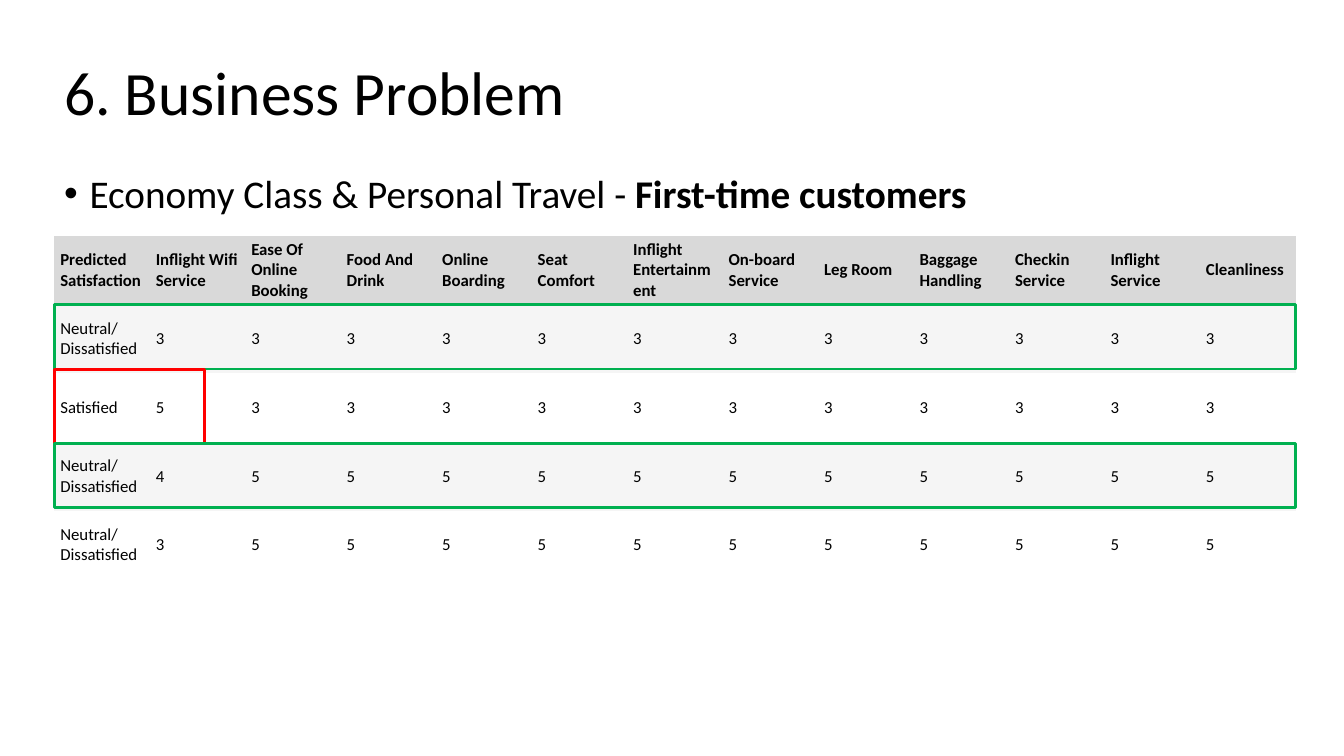
from dataclasses import dataclass

from pptx import Presentation
from pptx.dml.color import RGBColor
from pptx.enum.shapes import MSO_SHAPE
from pptx.enum.text import MSO_ANCHOR
from pptx.oxml.ns import qn
from pptx.util import Cm, Pt
from lxml import etree

RECTANGLE = MSO_SHAPE.RECTANGLE
MIDDLE = MSO_ANCHOR.MIDDLE
PLAIN_TABLE_STYLE = "{2D5ABB26-0587-4C30-8999-92F81FD0307C}"


@dataclass(frozen=True)
class Theme:
    """Colours and type sizes of the slide."""
    font: str = "Calibri"
    text: RGBColor = RGBColor(0x00, 0x00, 0x00)
    header: RGBColor = RGBColor(0xD9, 0xD9, 0xD9)
    band: RGBColor = RGBColor(0xF5, 0xF5, 0xF5)
    green: RGBColor = RGBColor(0x00, 0xB0, 0x50)
    red: RGBColor = RGBColor(0xFF, 0x00, 0x00)
    title_size: Pt = Pt(44)
    body_size: Pt = Pt(28)
    table_size: Pt = Pt(12)
    outline: Pt = Pt(2)


@dataclass(frozen=True)
class Box:
    """A rectangle in centimetres."""
    left: float
    top: float
    width: float
    height: float

    def lengths(self):
        """Return the four measures as lengths."""
        return Cm(self.left), Cm(self.top), Cm(self.width), Cm(self.height)


THEME = Theme()
TITLE_BOX = Box(1.37, 0.58, 29.21, 3.68)
SUBTITLE_BOX = Box(1.37, 4.27, 28.32, 1.68)
TABLE_BOX = Box(1.37, 5.94, 31.29, 8.66)

HEADINGS = [
    "Predicted Satisfaction", "Inflight Wifi Service", "Ease Of Online Booking",
    "Food And Drink", "Online Boarding", "Seat Comfort", "Inflight Entertainment",
    "On-board Service", "Leg Room", "Baggage Handling", "Checkin Service",
    "Inflight Service", "Cleanliness",
]
UNHAPPY = "Neutral/\nDissatisfied"
PREDICTIONS = [(UNHAPPY, 3, 3), ("Satisfied", 5, 3), (UNHAPPY, 4, 5), (UNHAPPY, 3, 5)]


def style_runs(paragraph, size, bold=False):
    """Format every run of a paragraph."""
    for run in paragraph.runs:
        run.font.name = THEME.font
        run.font.size = size
        run.font.bold = bold
        run.font.color.rgb = THEME.text


def add_title(slide, box):
    """Add the slide title, centred vertically in its box."""
    text_frame = slide.shapes.add_textbox(*box.lengths()).text_frame
    text_frame.word_wrap = True
    text_frame.vertical_anchor = MIDDLE
    text_frame.text = "6. Business Problem"
    paragraph = text_frame.paragraphs[0]
    paragraph.line_spacing = 0.9
    style_runs(paragraph, THEME.title_size)


def add_subtitle(slide, box):
    """Add the bulleted line that names the customer group."""
    text_frame = slide.shapes.add_textbox(*box.lengths()).text_frame
    text_frame.word_wrap = True
    text_frame.text = "Economy Class & Personal Travel - "
    paragraph = text_frame.paragraphs[0]
    paragraph.add_run().text = "First-time customers"
    paragraph.line_spacing = 0.9
    paragraph.space_before = Pt(10)
    style_runs(paragraph, THEME.body_size)
    paragraph.runs[1].font.bold = True
    properties = paragraph._p.get_or_add_pPr()
    indent = Cm(0.64)
    properties.set("marL", str(indent))
    properties.set("indent", str(-indent))
    etree.SubElement(properties, qn("a:buFont")).set("typeface", "Arial")
    etree.SubElement(properties, qn("a:buChar")).set("char", "•")


def fill_cell(cell, text, row_index):
    """Write one table cell and format it for its row."""
    cell.text = text
    cell.vertical_anchor = MIDDLE
    cell.margin_left = cell.margin_right = Cm(0.15)
    cell.margin_top = cell.margin_bottom = Cm(0.08)
    if row_index % 2 or row_index == 0:
        cell.fill.solid()
        cell.fill.fore_color.rgb = THEME.band if row_index else THEME.header
    else:
        cell.fill.background()
    for paragraph in cell.text_frame.paragraphs:
        style_runs(paragraph, THEME.table_size, bold=row_index == 0)


def add_predictions(slide, box):
    """Add the table of predicted satisfaction by service scores."""
    other_services = len(HEADINGS) - 2
    rows = [HEADINGS] + [
        [label, str(wifi)] + [str(score)] * other_services
        for label, wifi, score in PREDICTIONS
    ]
    frame = slide.shapes.add_table(len(rows), len(HEADINGS), *box.lengths())
    table = frame.table
    table.horz_banding = False
    frame._element.find(".//" + qn("a:tableStyleId")).text = PLAIN_TABLE_STYLE
    for column in table.columns:
        column.width = Cm(box.width / len(HEADINGS))
    for row_index, texts in enumerate(rows):
        table.rows[row_index].height = Cm(box.height / len(rows))
        for cell, text in zip(table.rows[row_index].cells, texts):
            fill_cell(cell, text, row_index)


def add_highlights(slide, box):
    """Outline the compared predictions over the table's box."""
    outlines = [
        (1.73, box.width, 1.63, THEME.green),
        (3.38, 3.78, 1.85, THEME.red),
        (5.23, box.width, 1.63, THEME.green),
    ]
    for offset, width, height, color in outlines:
        area = Box(box.left, box.top + offset, width, height)
        shape = slide.shapes.add_shape(RECTANGLE, *area.lengths())
        shape.shadow.inherit = False
        shape.fill.background()
        shape.line.color.rgb = color
        shape.line.width = THEME.outline


def main():
    """Build and save the presentation."""
    presentation = Presentation()
    presentation.slide_width = Cm(33.87)
    presentation.slide_height = Cm(19.05)
    slide = presentation.slides.add_slide(presentation.slide_layouts[6])
    add_title(slide, TITLE_BOX)
    add_subtitle(slide, SUBTITLE_BOX)
    add_predictions(slide, TABLE_BOX)
    add_highlights(slide, TABLE_BOX)
    presentation.save("out.pptx")


if __name__ == "__main__":
    main()
